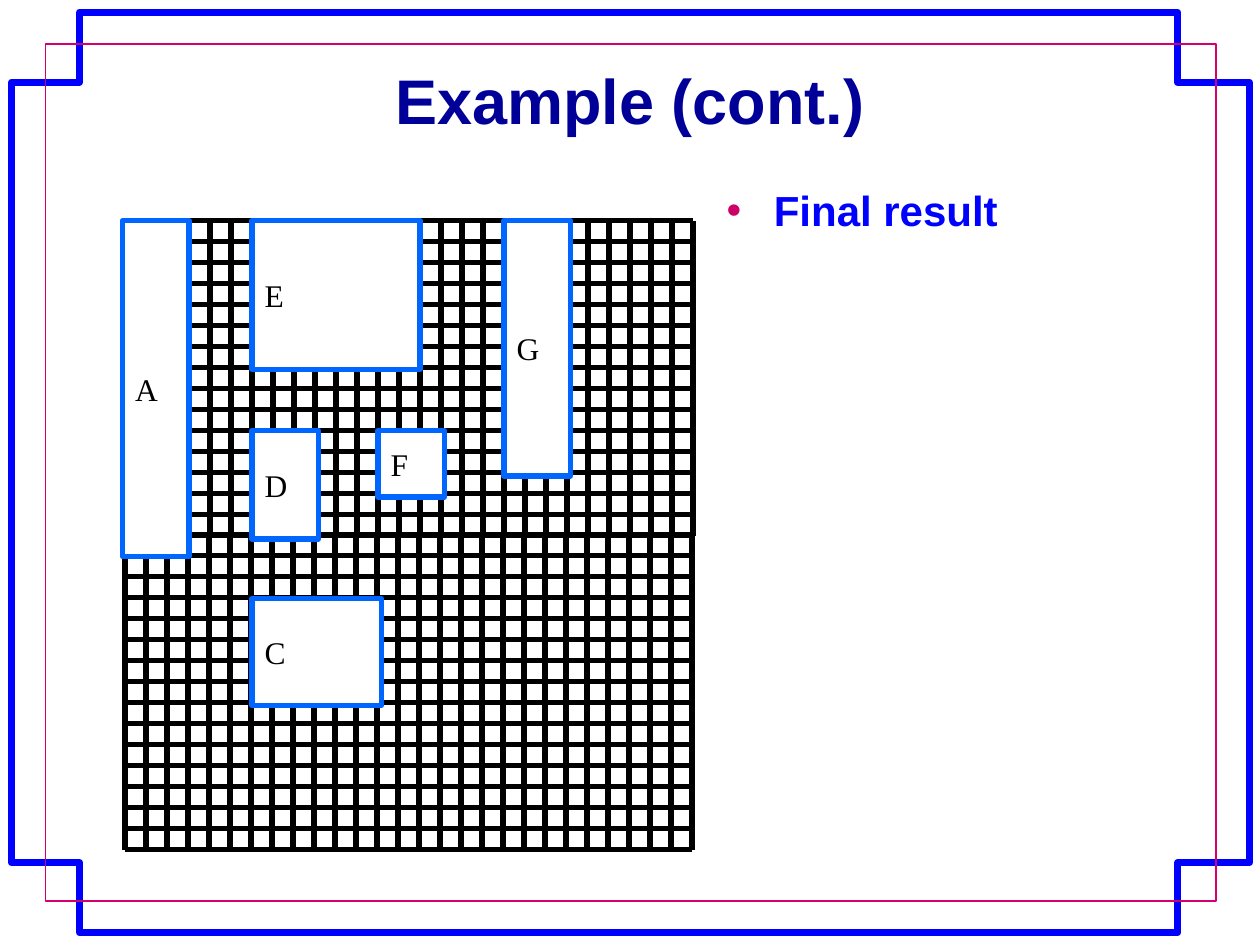
import pptx
import pptx.dml.color
import pptx.enum.shapes
import pptx.enum.text
import pptx.oxml
import pptx.oxml.ns
import pptx.util

Pt = pptx.util.Pt
ALIGN = pptx.enum.text.PP_ALIGN
ANCHOR = pptx.enum.text.MSO_ANCHOR

# Content; all lengths in points
TITLE = "Example (cont.)"
BULLET = "Final result"
BLOCKS = [  # name, left, top, width, height
    ("A", 70, 126, 38, 192),
    ("D", 144, 246, 38, 62),
    ("F", 216, 246, 38, 38),
    ("C", 144, 342, 74, 61),
    ("G", 288, 126, 38, 146),
    ("E", 144, 126, 96, 85),
]
GRID_HALVES = [(72, 126), (71.5, 305.5)]  # left, top
CELL, COLS, ROWS = 12, 27, 15

X0, X1, X2, X3 = 6.5, 45.5, 673, 714
Y0, Y1, Y2, Y3 = 7, 47, 493, 533
NOTCHED_FRAME = [(X0, Y1), (X1, Y1), (X1, Y0), (X2, Y0), (X2, Y1), (X3, Y1),
                 (X3, Y2), (X2, Y2), (X2, Y3), (X1, Y3), (X1, Y2), (X0, Y2)]
INNER_FRAME = [(26, 25), (695, 25), (695, 515), (26, 515)]

THEME = {
    "heading_font": "Arial", "label_font": "Times New Roman",
    "title_size": 36, "body_size": 24, "label_size": 18,
    "title": "000099", "body": "0000FF", "bullet": "CC0066", "label": "000000",
    "frame": "0000FF", "inner": "D5006C", "grid": "000000",
    "block_line": "0066FF", "block_fill": "FFFFFF",
}


def rgb(key):
    return pptx.dml.color.RGBColor.from_string(THEME[key])


def set_line(shape, color, width):
    shape.line.color.rgb = rgb(color)
    shape.line.width = Pt(width)


def place(shape, left, top, width, height):
    shape.left, shape.top = Pt(left), Pt(top)
    shape.width, shape.height = Pt(width), Pt(height)


def write(tf, text, *, role, font, bold=False, align=ALIGN.LEFT, anchor=ANCHOR.TOP):
    tf.vertical_anchor = anchor
    p = tf.paragraphs[0]
    p.alignment = align
    r = p.add_run()
    r.text = text
    r.font.name = THEME[font]
    r.font.size = Pt(THEME[role + "_size"])
    r.font.bold = bold
    r.font.color.rgb = rgb(role)
    return p


def add_bullet(p, indent):
    ppr = p._p.get_or_add_pPr()
    ppr.set("marL", str(Pt(indent)))
    ppr.set("indent", str(-Pt(indent)))
    ns = pptx.oxml.ns.nsdecls("a")
    for xml in (f'<a:buClr {ns}><a:srgbClr val="{THEME["bullet"]}"/></a:buClr>',
                f'<a:buFont {ns} typeface="Arial"/>',
                f'<a:buChar {ns} char="•"/>'):
        ppr.append(pptx.oxml.parse_xml(xml))


def add_frame(s, points, color, width):
    points = [(Pt(x), Pt(y)) for x, y in points]
    builder = s.shapes.build_freeform(*points[0])
    builder.add_line_segments(points[1:], close=True)
    sp = builder.convert_to_shape()
    sp.shadow.inherit = False
    sp.fill.background()
    set_line(sp, color, width)


def add_grid_line(group, x1, y1, x2, y2):
    line = group.shapes.add_connector(
        pptx.enum.shapes.MSO_CONNECTOR.STRAIGHT, Pt(x1), Pt(y1), Pt(x2), Pt(y2))
    set_line(line, "grid", 3)
    line._element.spPr.append(
        pptx.oxml.parse_xml(f'<a:effectLst {pptx.oxml.ns.nsdecls("a")}/>'))


def add_grid(group, left, top):
    right, bottom = left + COLS * CELL, top + ROWS * CELL
    for row in range(ROWS + 1):
        y = top + row * CELL
        add_grid_line(group, left, y, right, y)
    for col in range(COLS + 1):
        x = left + col * CELL
        add_grid_line(group, x, bottom, x, top)


def add_block(group, name, left, top, width, height):
    """Add a block turned by 270 degrees, with vertical text that reads upright."""
    sp = group.shapes.add_shape(
        pptx.enum.shapes.MSO_SHAPE.RECTANGLE, 0, 0, Pt(1), Pt(1))
    shift = (width - height) / 2
    place(sp, left + shift, top - shift, height, width)
    sp.rotation = 270
    sp.shadow.inherit = False
    sp.fill.solid()
    sp.fill.fore_color.rgb = rgb("block_fill")
    set_line(sp, "block_line", 3)
    tf = sp.text_frame
    tf.word_wrap = False
    tf.margin_left = tf.margin_right = Pt(3.6)
    tf.margin_top = tf.margin_bottom = Pt(7.2)
    tf._txBody.bodyPr.set("vert", "eaVert")
    write(tf, name, role="label", font="label_font",
          align=ALIGN.CENTER, anchor=ANCHOR.MIDDLE)


def main():
    prs = pptx.Presentation()
    prs.slide_width, prs.slide_height = Pt(720), Pt(540)
    s = prs.slides.add_slide(prs.slide_layouts[1])

    add_frame(s, NOTCHED_FRAME, "frame", 4)
    add_frame(s, INNER_FRAME, "inner", 1)

    title, body = s.shapes.title, s.placeholders[1]
    place(title, 54, 30, 612, 54)
    write(title.text_frame, TITLE, role="title", font="heading_font", bold=True,
          align=ALIGN.CENTER, anchor=ANCHOR.MIDDLE)
    place(body, 408, 102, 258, 378)
    p = write(body.text_frame, BULLET, role="body", font="heading_font", bold=True)
    p.space_before = Pt(6)
    add_bullet(p, 27)

    group = s.shapes.add_group_shape()
    for left, top in GRID_HALVES:
        add_grid(group, left, top)
    for block in BLOCKS:
        add_block(group, *block)

    prs.save("out.pptx")


if __name__ == "__main__":
    main()
